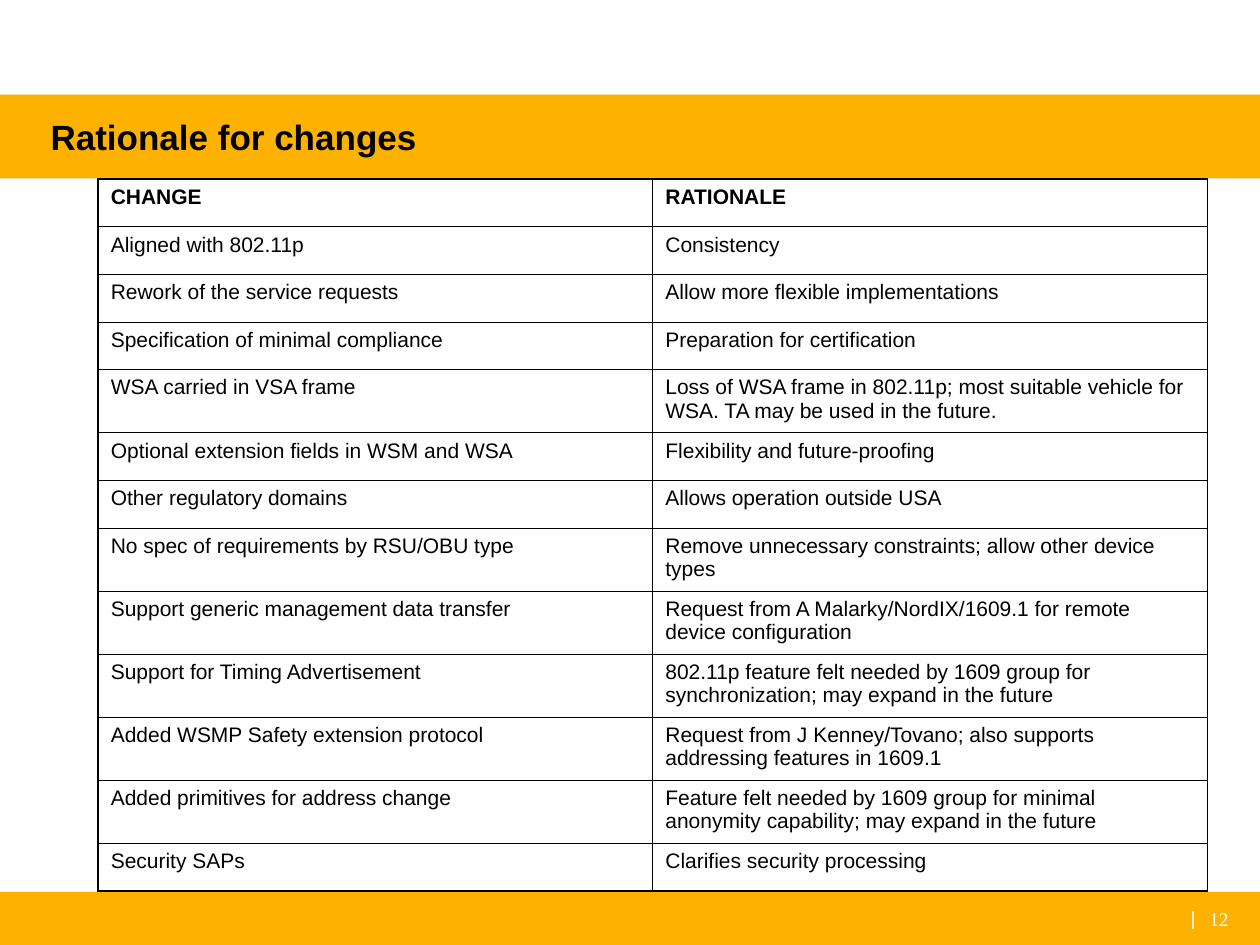
from lxml import etree
from pptx import Presentation
from pptx import util as u
from pptx.dml.color import RGBColor
from pptx.enum import shapes, text
from pptx.oxml import ns

AMBER = RGBColor(0xFE, 0xB2, 0x00)
BLACK = RGBColor(0x00, 0x00, 0x00)
WHITE = RGBColor(0xFF, 0xFF, 0xFF)

ROWS = [
    ("CHANGE", "RATIONALE"),
    ("Aligned with 802.11p", "Consistency"),
    ("Rework of the service requests", "Allow more flexible implementations"),
    ("Specification of minimal compliance", "Preparation for certification"),
    ("WSA carried in VSA frame",
     "Loss of WSA frame in 802.11p; most suitable vehicle for WSA. TA may be used in the future."),
    ("Optional extension fields in WSM and WSA", "Flexibility and future-proofing"),
    ("Other regulatory domains", "Allows operation outside USA"),
    ("No spec of requirements by RSU/OBU type",
     "Remove unnecessary constraints; allow other device types"),
    ("Support generic management data transfer",
     "Request from A Malarky/NordIX/1609.1 for remote device configuration"),
    ("Support for Timing Advertisement",
     "802.11p feature felt needed by 1609 group for synchronization; may expand in the future"),
    ("Added WSMP Safety extension protocol",
     "Request from J Kenney/Tovano; also supports addressing features in 1609.1"),
    ("Added primitives for address change",
     "Feature felt needed by 1609 group for minimal anonymity capability; may expand in the future"),
    ("Security SAPs", "Clarifies security processing"),
]
SHORT_ROW, TALL_ROW = u.Cm(0.96), u.Cm(1.27)
LINE_CHARS = 50
INNER, OUTER = u.Pt(0.45), u.Pt(1.08)


def write(tf, content, size=12, font="Arial", color=BLACK, bold=False,
          align=text.PP_ALIGN.LEFT):
    p = tf.paragraphs[0]
    p.alignment = align
    r = p.add_run()
    r.text = content
    r.font.size, r.font.name, r.font.bold = u.Pt(size), font, bold
    r.font.color.rgb = color


def set_borders(cell, widths):
    """Draw black cell borders; widths run left, right, top, bottom."""
    tcPr = cell._tc.get_or_add_tcPr()
    for i, (side, width) in enumerate(zip("LRTB", widths)):
        ln = etree.Element(ns.qn(f"a:ln{side}"), w=str(int(width)))
        fill = etree.SubElement(ln, ns.qn("a:solidFill"))
        etree.SubElement(fill, ns.qn("a:srgbClr"), val=str(BLACK))
        tcPr.insert(i, ln)


prs = Presentation()
prs.slide_width, prs.slide_height = u.Cm(25.4), u.Cm(19.05)
s = prs.slides.add_slide(prs.slide_layouts[6])

# Title and footer bands
for top, height in ((1.91, 1.69), (17.98, 1.07)):
    sp = s.shapes.add_shape(shapes.MSO_SHAPE.RECTANGLE, 0, u.Cm(top),
                            prs.slide_width, u.Cm(height))
    sp.shadow.inherit = False
    sp.fill.solid()
    sp.fill.fore_color.rgb = AMBER
    sp.line.fill.background()

# Title, footer divider and page number
labels = [
    ("Rationale for changes", (1.02, 2.01, 23.34, 1.5), dict(size=20, bold=True)),
    ("|", (23.93, 18.01, 0.25, 0.99),
     dict(size=11, color=WHITE, align=text.PP_ALIGN.CENTER)),
    ("12", (24.38, 17.98, 1.02, 1.07),
     dict(size=11, color=WHITE, font="Times New Roman")),
]
for content, box, style in labels:
    tf = s.shapes.add_textbox(*map(u.Cm, box)).text_frame
    tf.word_wrap = content != "|"
    tf.vertical_anchor = text.MSO_ANCHOR.MIDDLE
    tf.margin_left = tf.margin_right = tf.margin_top = tf.margin_bottom = 0
    write(tf, content, **style)

# Table of changes
heights = [TALL_ROW if len(reason) > LINE_CHARS else SHORT_ROW for _, reason in ROWS]
table = s.shapes.add_table(len(ROWS), 2, u.Cm(1.98), u.Cm(3.61),
                           u.Cm(22.36), sum(heights)).table
table.horz_banding = False
last = len(ROWS) - 1
for i, row in enumerate(ROWS):
    table.rows[i].height = heights[i]
    for j, content in enumerate(row):
        cell = table.cell(i, j)
        cell.fill.background()
        write(cell.text_frame, content, bold=i == 0)
        edges = (j == 0, j == 1, i == 0, i == last)
        set_borders(cell, [OUTER if edge else INNER for edge in edges])

prs.save("out.pptx")
